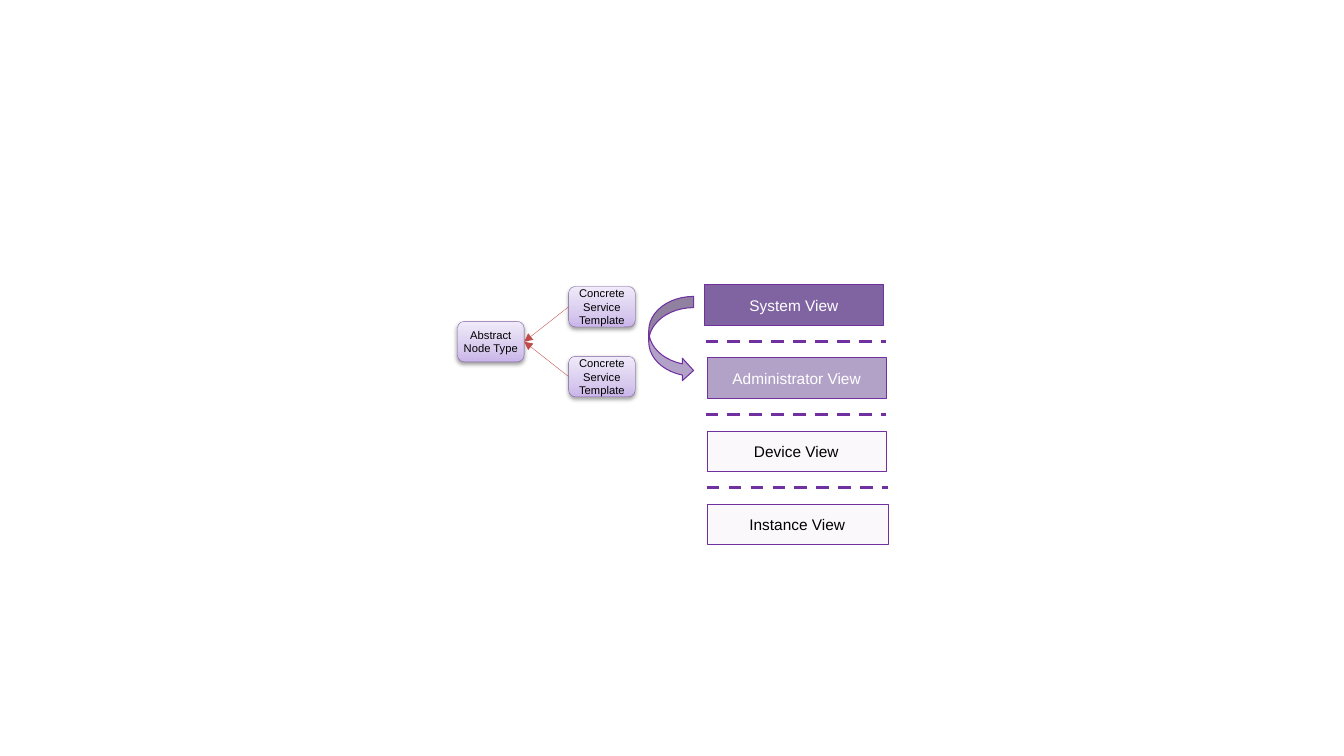
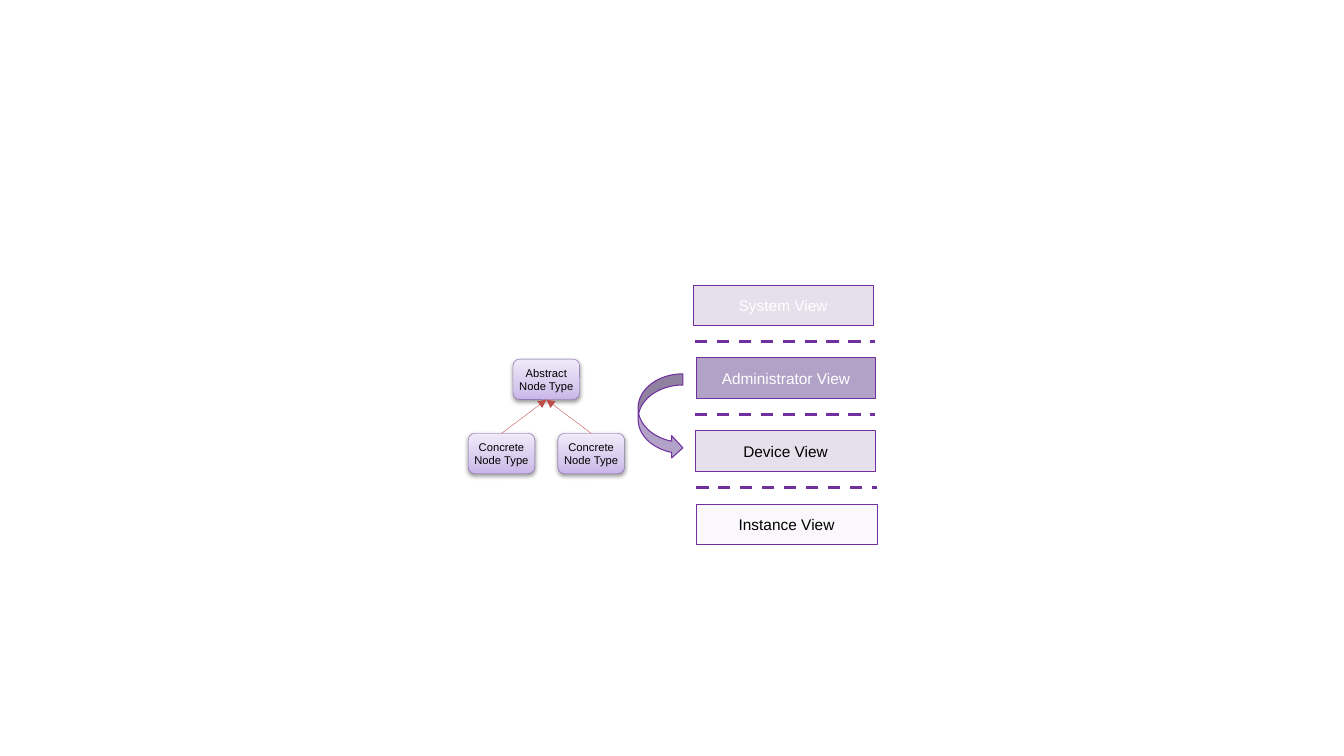
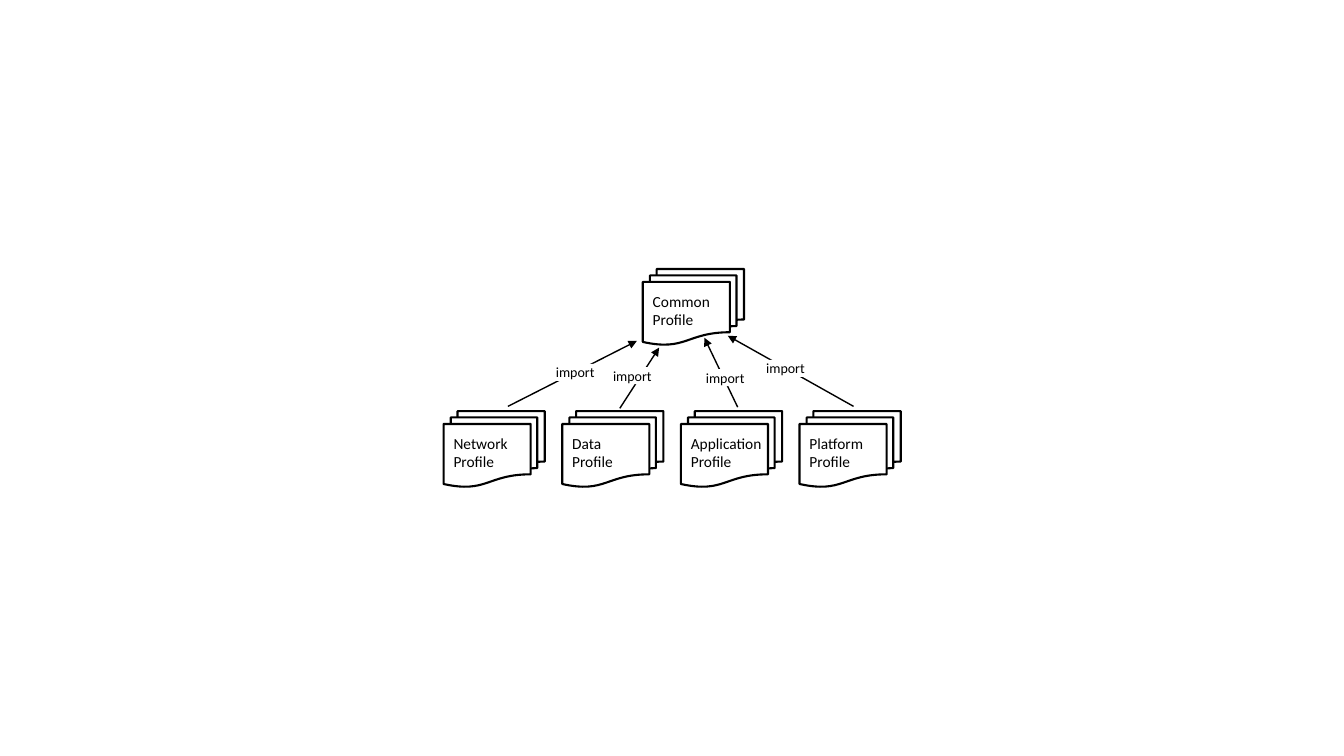
from copy import deepcopy

from pptx import Presentation
from pptx.dml.color import RGBColor
from pptx.enum.dml import MSO_LINE_DASH_STYLE as DASH
from pptx.enum.shapes import MSO_CONNECTOR, MSO_SHAPE as SHAPE
from pptx.enum.text import MSO_ANCHOR as ANCHOR, MSO_AUTO_SIZE, PP_ALIGN as ALIGN
from pptx.oxml.ns import qn
from pptx.util import Cm, Pt
from lxml.etree import SubElement

COLORS = {
    name: RGBColor.from_string(value)
    for name, value in {
        "black": "000000", "white": "FFFFFF", "border": "7030A0",
        "deep": "8064A2", "mid": "B3A2C7", "pale": "E6E0EC",
        "node_border": "7D60A0", "node_arrow": "BF4C48",
        "node_low": "C9B5E8", "node_mid": "D8CBEE", "node_high": "F0EAF9",
    }.items()
}


def write(shape, text, size, font, color="black", align=ALIGN.CENTER,
          anchor=ANCHOR.MIDDLE, insets=None):
    frame = shape.text_frame
    frame.text = text
    frame.word_wrap = True
    frame.vertical_anchor = anchor
    if insets:
        (frame.margin_left, frame.margin_top,
         frame.margin_right, frame.margin_bottom) = [Cm(inset) for inset in insets]
    for paragraph in frame.paragraphs:
        paragraph.alignment = align
        for run in paragraph.runs:
            run.font.size = Pt(size)
            run.font.name = font
            run.font.color.rgb = COLORS[color]


def add_line(slide, start, end, color, width, arrow=True):
    line = slide.shapes.add_connector(
        MSO_CONNECTOR.STRAIGHT, *[Cm(value) for value in (*start, *end)])
    line.line.color.rgb = COLORS[color]
    line.line.width = Pt(width)
    properties = line._element.spPr
    if arrow:
        SubElement(properties.find(qn("a:ln")), qn("a:tailEnd"), type="triangle")
    SubElement(properties, qn("a:effectLst"))
    return line


prs = Presentation()
prs.slide_width, prs.slide_height = Cm(33.87), Cm(19.05)
blank = prs.slide_layouts[6]

# Views: label, left offset, width; separators: left offset, width
VIEWS = [("System View", 0, 4.52), ("Administrator View", 0.07, 4.52),
         ("Device View", 0.06, 4.52), ("Instance View", 0.06, 4.57)]
SEPARATORS = [(0.03, 4.55), (0.03, 4.55), (0.06, 4.57)]
VIEW_TOP, VIEW_HEIGHT, VIEW_STEP = 7.18, 1.02, 1.84
SEPARATOR_TOP = 8.61
NODE_WIDTH, NODE_HEIGHT = 1.68, 1.02
TOP_SITE, LEFT_SITE, BOTTOM_SITE, RIGHT_SITE = range(4)

# View styles are fill, opacity in percent, text colour
# Nodes start with the abstract one; the others point to it
view_slides = [
    {"left": 17.75, "turn_top": 7.47,
     "styles": [("deep", 100, "white"), ("mid", 100, "white"),
                ("pale", 20, "black"), ("pale", 20, "black")],
     "nodes": [("Abstract\nNode Type", 11.53, 8.1),
               ("Concrete\nService\nTemplate", 14.33, 7.22),
               ("Concrete\nService\nTemplate", 14.33, 8.98)],
     "sites": (LEFT_SITE, RIGHT_SITE)},
    {"left": 17.48, "turn_top": 9.42,
     "styles": [("deep", 20, "white"), ("mid", 100, "white"),
                ("pale", 100, "black"), ("pale", 20, "black")],
     "nodes": [("Abstract\nNode Type", 12.93, 9.05),
               ("Concrete\nNode Type", 11.8, 10.92),
               ("Concrete\nNode Type", 14.06, 10.92)],
     "sites": (TOP_SITE, BOTTOM_SITE)},
]

for content in view_slides:
    slide = prs.slides.add_slide(blank)
    left = content["left"]

    # Stack of views
    for row, ((label, offset, width), (fill, opacity, text_color)) in enumerate(
            zip(VIEWS, content["styles"])):
        view = slide.shapes.add_shape(
            SHAPE.RECTANGLE, Cm(left + offset), Cm(VIEW_TOP + row * VIEW_STEP),
            Cm(width), Cm(VIEW_HEIGHT))
        view.shadow.inherit = False
        view.fill.solid()
        view.fill.fore_color.rgb = COLORS[fill]
        if opacity < 100:
            fill_color = view._element.spPr.find(qn("a:solidFill"))[0]
            SubElement(fill_color, qn("a:alpha"), val=str(opacity * 1000))
        view.line.color.rgb = COLORS["border"]
        view.line.width = Pt(0.75 if opacity == 100 else 0.25)
        write(view, label, 11, "Arial", text_color)

    # Dashed separators
    for row, (offset, width) in enumerate(SEPARATORS):
        y = SEPARATOR_TOP + row * VIEW_STEP
        separator = add_line(slide, (left + offset, y), (left + offset + width, y),
                             "border", 2.25, arrow=False)
        separator.line.dash_style = DASH.DASH

    # Turn from one view to the next
    turn = slide.shapes.add_shape(SHAPE.CURVED_RIGHT_ARROW, Cm(left - 1.4),
                                  Cm(content["turn_top"]), Cm(1.13), Cm(2.15))
    turn.shadow.inherit = False
    turn.fill.solid()
    turn.fill.fore_color.rgb = COLORS["mid"]
    turn.line.color.rgb = COLORS["border"]
    turn.line.width = Pt(0.75)

    # Nodes with gradient and soft shadow
    nodes = []
    for label, x, y in content["nodes"]:
        node = slide.shapes.add_shape(SHAPE.ROUNDED_RECTANGLE, Cm(x), Cm(y),
                                      Cm(NODE_WIDTH), Cm(NODE_HEIGHT))
        node.fill.gradient()
        node.fill.gradient_angle = 90
        stops = node._element.spPr.find(qn("a:gradFill")).find(qn("a:gsLst"))
        middle = deepcopy(stops[0])
        middle.set("pos", "35000")
        stops.insert(1, middle)
        for stop, shade in zip(node.fill.gradient_stops,
                               ("node_low", "node_mid", "node_high")):
            stop.color.rgb = COLORS[shade]
        node.line.color.rgb = COLORS["node_border"]
        node.line.width = Pt(0.25)
        node.shadow.inherit = False
        shadow = SubElement(
            node._element.spPr.find(qn("a:effectLst")), qn("a:outerShdw"),
            blurRad=str(Pt(3.1)), dist=str(Pt(1.6)), dir="5400000", rotWithShape="0")
        shadow_color = SubElement(shadow, qn("a:srgbClr"), val=str(COLORS["black"]))
        SubElement(shadow_color, qn("a:alpha"), val="38000")
        write(node, label, 8, "Arial", insets=(0, 0, 0, 0))
        nodes.append(node)

    # Arrows from concrete nodes to the abstract one
    abstract, *concretes = nodes
    start_site, end_site = content["sites"]
    for concrete in concretes:
        arrow = add_line(slide, (0, 0), (1, 1), "node_arrow", 0.25)
        arrow.begin_connect(concrete, start_site)
        arrow.end_connect(abstract, end_site)

# Profiles: label, left, top, right inset
slide = prs.slides.add_slide(blank)
profiles = [("Common Profile", 16.2, 6.78, 0.25)]
for column, label in enumerate(("Network Profile", "Data\nProfile",
                                "Application Profile", "Platform\nProfile")):
    profiles.append((label, 11.18 + column * 2.99, 10.36, 0))

for label, x, y, right_inset in profiles:
    profile = slide.shapes.add_shape(SHAPE.FLOWCHART_MULTIDOCUMENT,
                                     Cm(x), Cm(y), Cm(2.55), Cm(1.91))
    profile.shadow.inherit = False
    profile.fill.background()
    profile.line.color.rgb = COLORS["black"]
    profile.line.width = Pt(1.5)
    write(profile, label, 11, "Calibri", align=ALIGN.LEFT, anchor=ANCHOR.TOP,
          insets=(0.25, 0.25, right_inset, 0.13))

# Imports: arrow start, arrow end, label corner
imports = [
    ((12.8, 10.24), (16.05, 8.59), (14, 9.17)),
    ((15.62, 10.29), (16.61, 8.76), (15.44, 9.25)),
    ((18.59, 10.26), (17.75, 8.51), (17.78, 9.3)),
    ((21.51, 10.24), (18.34, 8.46), (19.3, 9.07)),
]
for start, end, (x, y) in imports:
    add_line(slide, start, end, "black", 1)
    caption = slide.shapes.add_textbox(Cm(x), Cm(y), Cm(0.99), Cm(0.43))
    caption.fill.solid()
    caption.fill.fore_color.rgb = COLORS["white"]
    write(caption, "import", 10, "Calibri", anchor=ANCHOR.TOP, insets=(0, 0, 0, 0))
    caption.text_frame.word_wrap = False
    caption.text_frame.auto_size = MSO_AUTO_SIZE.SHAPE_TO_FIT_TEXT

prs.save("out.pptx")
